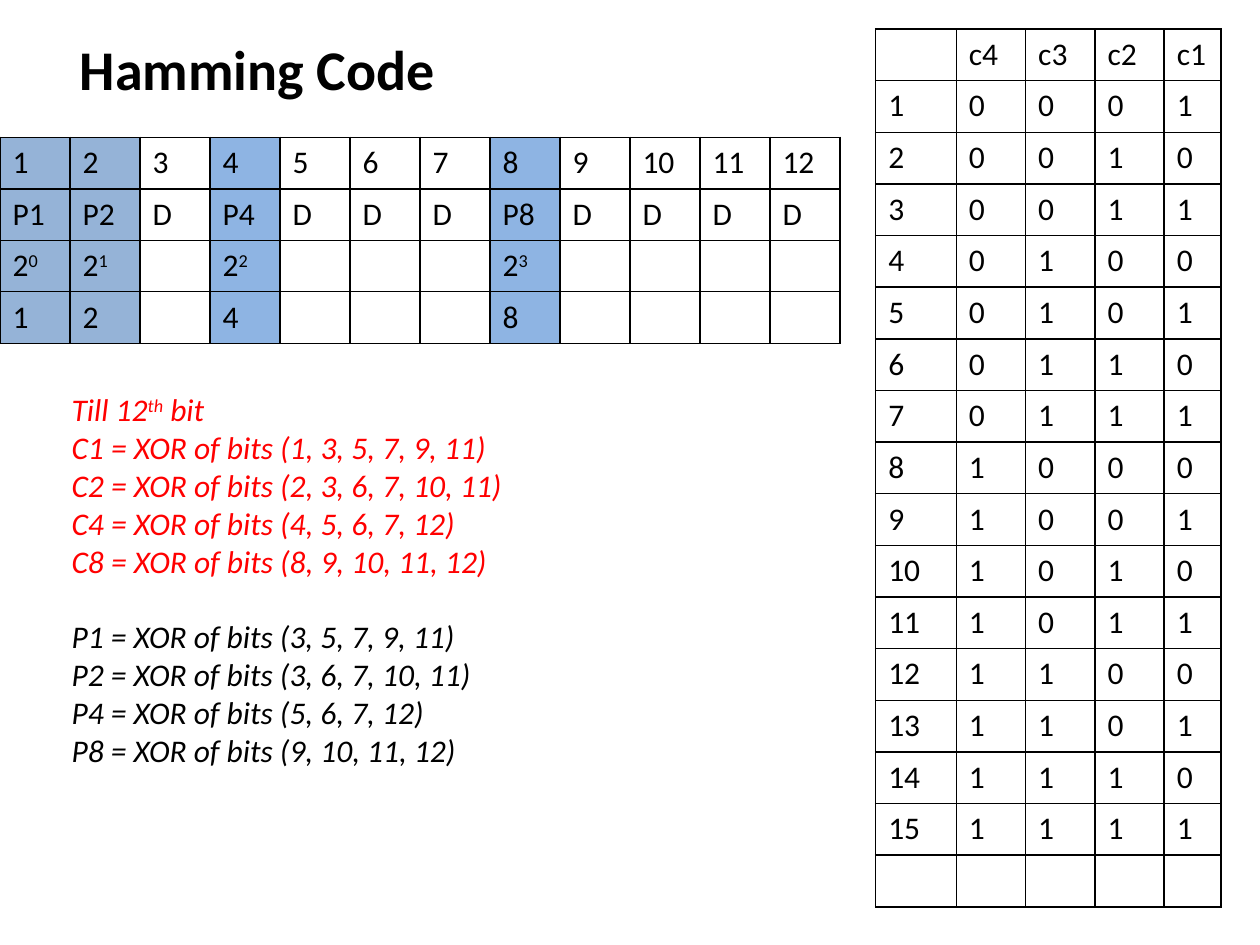
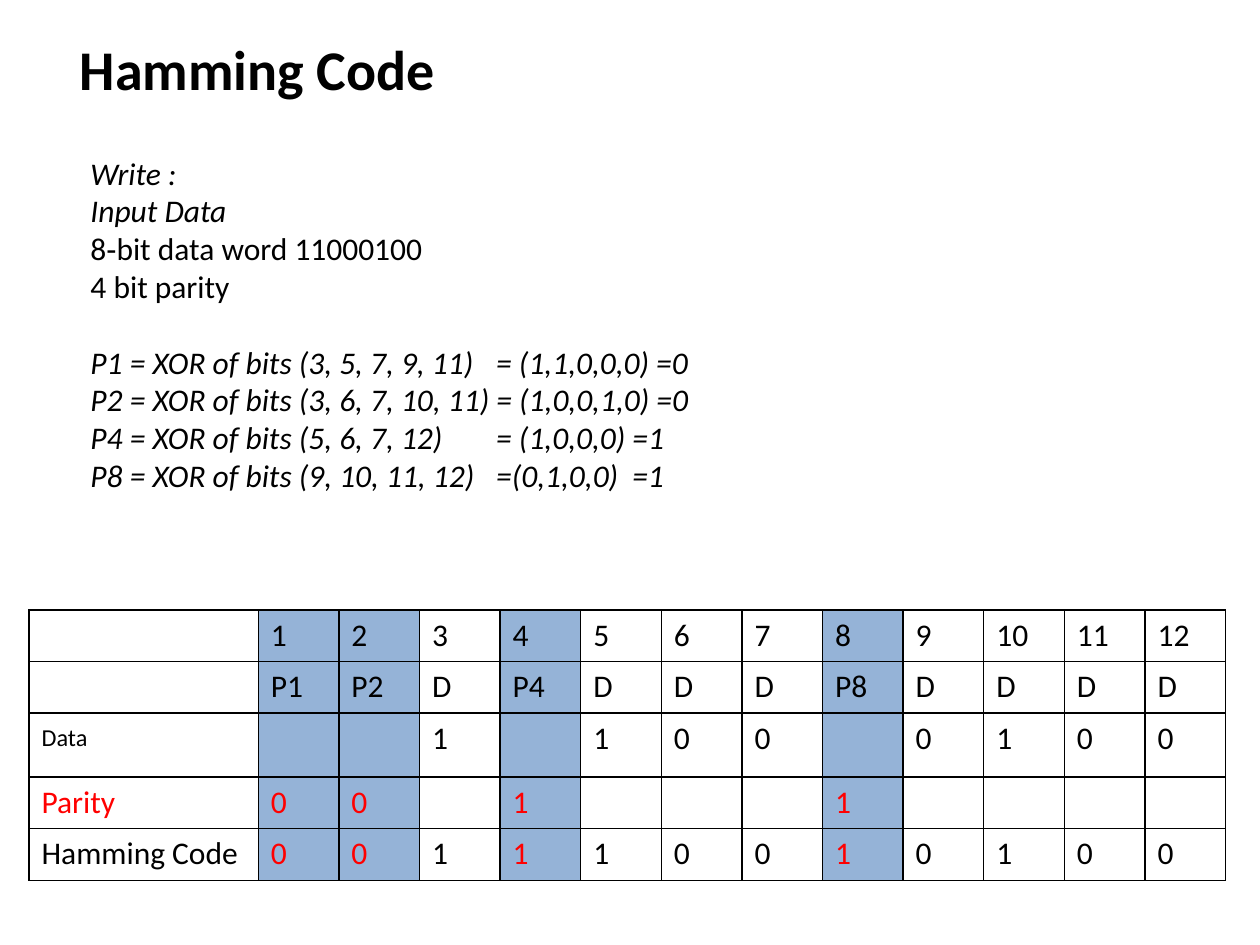
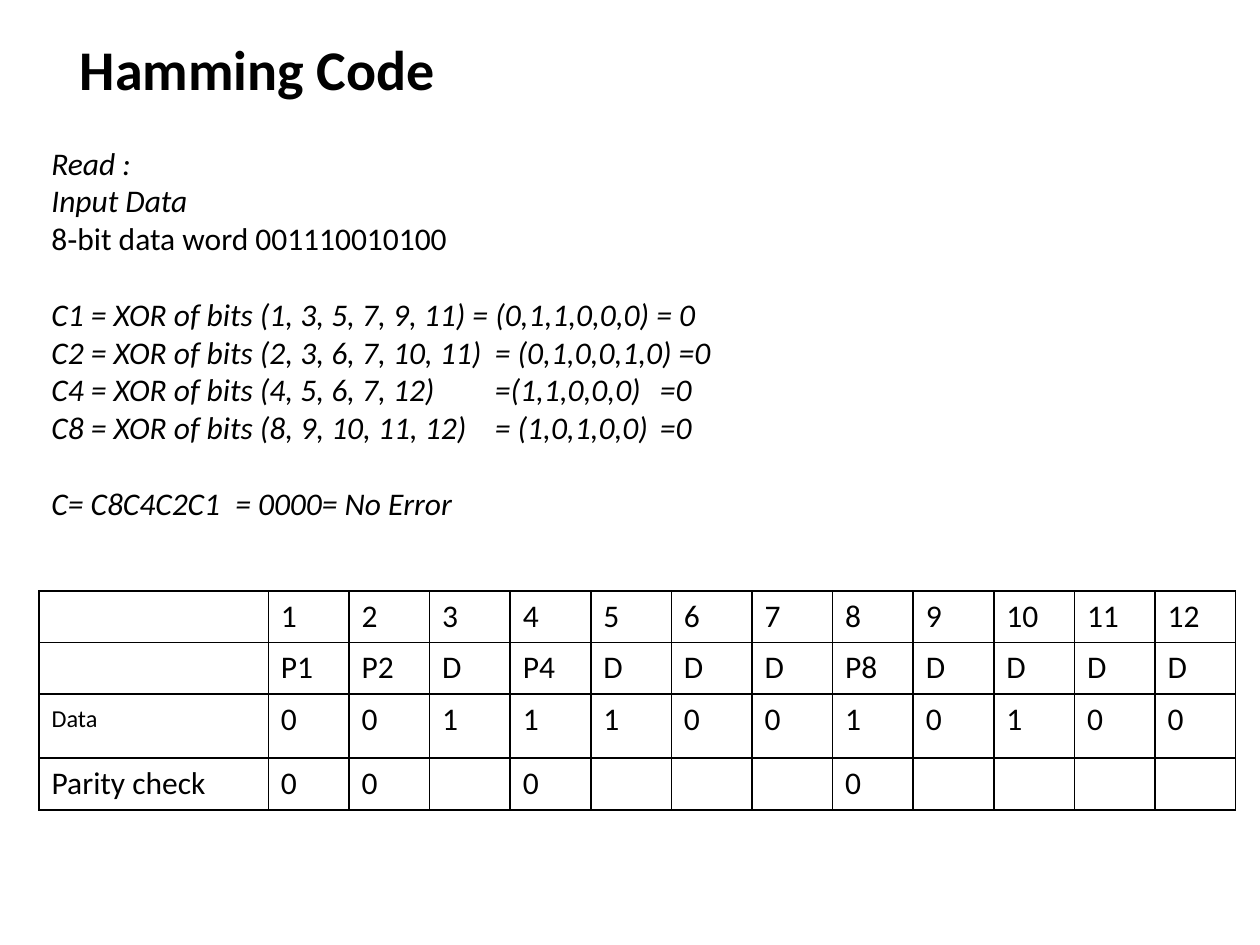
"""Build three slides that explain Hamming code writing and reading."""
from dataclasses import dataclass

from lxml import etree
from pptx import Presentation
from pptx.dml.color import RGBColor
from pptx.enum.text import MSO_ANCHOR, MSO_AUTO_SIZE, PP_ALIGN
from pptx.oxml.ns import qn
from pptx.util import Inches, Pt

CENTER, LEFT = PP_ALIGN.CENTER, PP_ALIGN.LEFT
MIDDLE = MSO_ANCHOR.MIDDLE
FIT_SHAPE = MSO_AUTO_SIZE.SHAPE_TO_FIT_TEXT
TITLE_ONLY = 5


@dataclass(frozen=True)
class Theme:
    font: str = "Calibri"
    black: str = "000000"
    red: str = "FF0000"
    steel: str = "95B3D7"
    sky: str = "8EB4E3"
    title_size: int = 32
    body_size: int = 18
    label_size: int = 24
    section_gap: float = 21.6
    border: float = 1


THEME = Theme()
TITLE = "Hamming Code"
TITLE_BOX = (0.5, 0.3, 3.09, 0.48)
ROW, SHORT_ROW = 0.41, 0.36

PARITY_BITS = (1, 2, 4, 8)
BITS = [str(bit) for bit in range(1, 13)]
ROLES = [f"P{bit}" if bit in PARITY_BITS else "D" for bit in range(1, 13)]


def at_parity(*values):
    """Return a row of twelve cells with values only at the parity bits."""
    placed = dict(zip(PARITY_BITS, values))
    return [placed.get(bit, "") for bit in range(1, 13)]


POSITIONS = [BITS, ROLES, at_parity("2^0", "2^1", "2^2", "2^3"), at_parity("1", "2", "4", "8")]
CHECK_BITS = [["", "c4", "c3", "c2", "c1"]]
CHECK_BITS += [[str(number), *f"{number:04b}"] for number in range(1, 16)]
CHECK_BITS += [[""] * 5]
WRITING = [
    ["", *BITS],
    ["", *ROLES],
    ["^Data", "", "", "1", "", "1", "0", "0", "", "0", "1", "0", "0"],
    ["Parity", *at_parity("0", "0", "1", "1")],
    ["Hamming Code", *"001110010100"],
]
READING = [
    ["", *BITS],
    ["", *ROLES],
    ["^Data", *"001110010100"],
    ["Parity check", *at_parity("0", "0", "0", "0")],
]
WORD_COLUMNS = [1.82] + [0.64] * 12

SLIDES = [
    {
        "tables": [
            {"rows": POSITIONS, "at": (0, 1.09), "columns": [6.67 / 12] * 12,
             "heights": [ROW, ROW, SHORT_ROW, ROW],
             "fills": {0: THEME.steel, 1: THEME.steel, 3: THEME.sky, 7: THEME.sky}},
            {"rows": CHECK_BITS, "at": (6.95, 0.23), "columns": [0.64, 0.55, 0.55, 0.55, 0.45],
             "heights": [ROW] * 17},
        ],
        "text_box": (0.47, 3.05, 5.23, 4.34),
        "tabs": (),
        "sections": [
            (0, {"italic": True, "color": THEME.red}, [
                "Till 12^th^ bit",
                "C1 = XOR of bits (1, 3, 5, 7, 9, 11)",
                "C2 = XOR of bits (2, 3, 6, 7, 10, 11)",
                "C4 = XOR of bits (4, 5, 6, 7, 12)",
                "C8 = XOR of bits (8, 9, 10, 11, 12)"]),
            (THEME.section_gap, {"italic": True}, [
                "P1 = XOR of bits (3, 5, 7, 9, 11)",
                "P2 = XOR of bits (3, 6, 7, 10, 11)",
                "P4 = XOR of bits (5, 6, 7, 12)",
                "P8 = XOR of bits (9, 10, 11, 12)"]),
        ],
    },
    {
        "tables": [
            {"rows": WRITING, "at": (0.23, 4.84), "columns": WORD_COLUMNS,
             "heights": [ROW, ROW, SHORT_ROW, ROW, ROW],
             "fills": {bit: THEME.steel for bit in PARITY_BITS},
             "red_cells": {(3, 0)} | {(row, bit) for row in (3, 4) for bit in PARITY_BITS}},
        ],
        "text_box": (0.62, 1.17, 5.23, 3.13),
        "tabs": (3.22, 4.3),
        "sections": [
            (0, {"italic": True}, ["Write :", "Input Data"]),
            (0, {}, ["8‐bit data word 11000100", "4 bit parity"]),
            (THEME.section_gap, {"italic": True}, [
                "P1 = XOR of bits (3, 5, 7, 9, 11)\t= (1,1,0,0,0) =0",
                "P2 = XOR of bits (3, 6, 7, 10, 11) = (1,0,0,1,0) =0",
                "P4 = XOR of bits (5, 6, 7, 12)\t= (1,0,0,0) =1",
                "P8 = XOR of bits (9, 10, 11, 12)\t=(0,1,0,0)\t=1"]),
        ],
    },
    {
        "tables": [
            {"rows": READING, "at": (0.31, 4.69), "columns": WORD_COLUMNS,
             "heights": [ROW, ROW, SHORT_ROW, ROW]},
        ],
        "text_box": (0.31, 1.09, 6.64, 4.04),
        "tabs": (1.46, 3.52, 4.83),
        "sections": [
            (0, {"italic": True}, ["Read :", "Input Data"]),
            (0, {}, ["8‐bit data word 001110010100"]),
            (THEME.section_gap, {"italic": True}, [
                "C1 = XOR of bits (1, 3, 5, 7, 9, 11) = (0,1,1,0,0,0) = 0",
                "C2 = XOR of bits (2, 3, 6, 7, 10, 11)\t= (0,1,0,0,1,0) =0",
                "C4 = XOR of bits (4, 5, 6, 7, 12)\t=(1,1,0,0,0)\t=0",
                "C8 = XOR of bits (8, 9, 10, 11, 12)\t= (1,0,1,0,0)\t=0"]),
            (THEME.section_gap, {"italic": True}, ["C= C8C4C2C1\t= 0000= No Error"]),
        ],
    },
]


def write_text(paragraph, text, size=THEME.body_size, color=THEME.black, bold=False,
               italic=False, align=LEFT, gap=0, tabs=()):
    """Fill a paragraph, raising every second part between caret marks."""
    paragraph.alignment = align
    paragraph.space_before = Pt(gap)
    if tabs:
        tab_list = etree.SubElement(paragraph._p.get_or_add_pPr(), qn("a:tabLst"))
        for position in tabs:
            etree.SubElement(tab_list, qn("a:tab"), pos=str(Inches(position)), algn="l")
    for index, part in enumerate(text.split("^")):
        if not part:
            continue
        run = paragraph.add_run()
        run.text = part
        font = run.font
        font.name, font.size, font.bold, font.italic = THEME.font, Pt(size), bold, italic
        font.color.rgb = RGBColor.from_string(color)
        if index % 2:
            font._element.set("baseline", "30000")


def add_title(slide):
    """Place the shared title."""
    title = slide.shapes.title
    title.left, title.top, title.width, title.height = map(Inches, TITLE_BOX)
    title.text_frame.vertical_anchor = MIDDLE
    write_text(title.text_frame.paragraphs[0], TITLE, size=THEME.title_size, bold=True, align=CENTER)


def draw_borders(cell):
    """Draw a thin line on all four sides of a cell."""
    properties = cell._tc.get_or_add_tcPr()
    for side in ("lnL", "lnR", "lnT", "lnB"):
        line = etree.SubElement(properties, qn(f"a:{side}"), w=str(Pt(THEME.border)))
        fill = etree.SubElement(line, qn("a:solidFill"))
        etree.SubElement(fill, qn("a:srgbClr"), val=THEME.black)


def add_grid(slide, rows, at, columns, heights, fills=None, red_cells=()):
    """Add a bordered table with optional column fills and red cells."""
    left, top = at
    table = slide.shapes.add_table(len(rows), len(columns), Inches(left), Inches(top),
                                   Inches(sum(columns)), Inches(sum(heights))).table
    table.first_row = table.horz_banding = False
    for column, width in zip(table.columns, columns):
        column.width = Inches(width)
    for row_index, (row, height) in enumerate(zip(rows, heights)):
        table.rows[row_index].height = Inches(height)
        for column_index, text in enumerate(row):
            cell = table.cell(row_index, column_index)
            draw_borders(cell)
            if fills and column_index in fills:
                cell.fill.solid()
                cell.fill.fore_color.rgb = RGBColor.from_string(fills[column_index])
            else:
                cell.fill.background()
            write_text(cell.text_frame.paragraphs[0], text,
                       size=THEME.label_size if text.startswith("^") else THEME.body_size,
                       color=THEME.red if (row_index, column_index) in red_cells else THEME.black)


def add_sections(slide, box, sections, tabs):
    """Add a text box whose sections are set apart by paragraph spacing."""
    frame = slide.shapes.add_textbox(*map(Inches, box)).text_frame
    frame.word_wrap = True
    frame.auto_size = FIT_SHAPE
    paragraph = frame.paragraphs[0]
    for gap, style, lines in sections:
        for index, line in enumerate(lines):
            paragraph = paragraph if not paragraph.runs else frame.add_paragraph()
            write_text(paragraph, line, gap=0 if index else gap, tabs=tabs, **style)


def main():
    """Build and save the presentation."""
    presentation = Presentation()
    presentation.slide_width, presentation.slide_height = Inches(10), Inches(7.5)
    for content in SLIDES:
        slide = presentation.slides.add_slide(presentation.slide_layouts[TITLE_ONLY])
        add_title(slide)
        for table in content["tables"]:
            add_grid(slide, **table)
        add_sections(slide, content["text_box"], content["sections"], content["tabs"])
    presentation.save("out.pptx")


if __name__ == "__main__":
    main()
